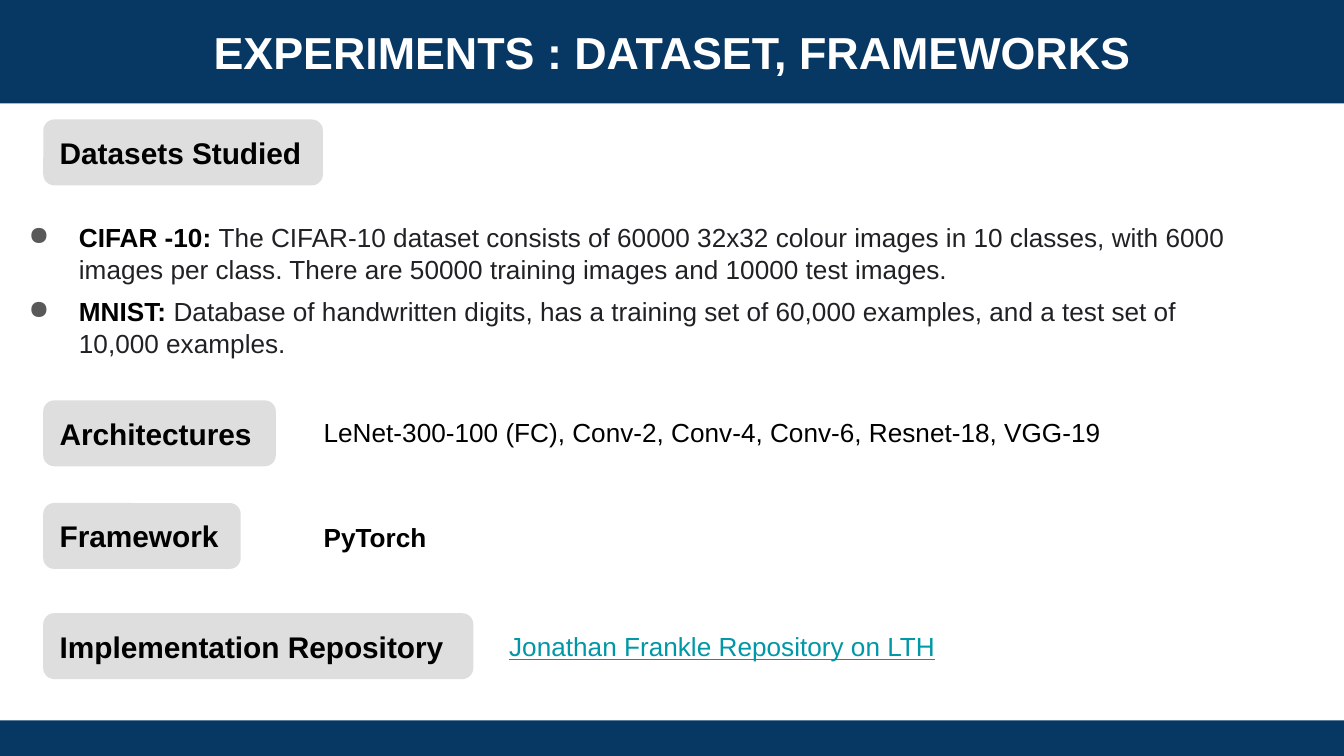
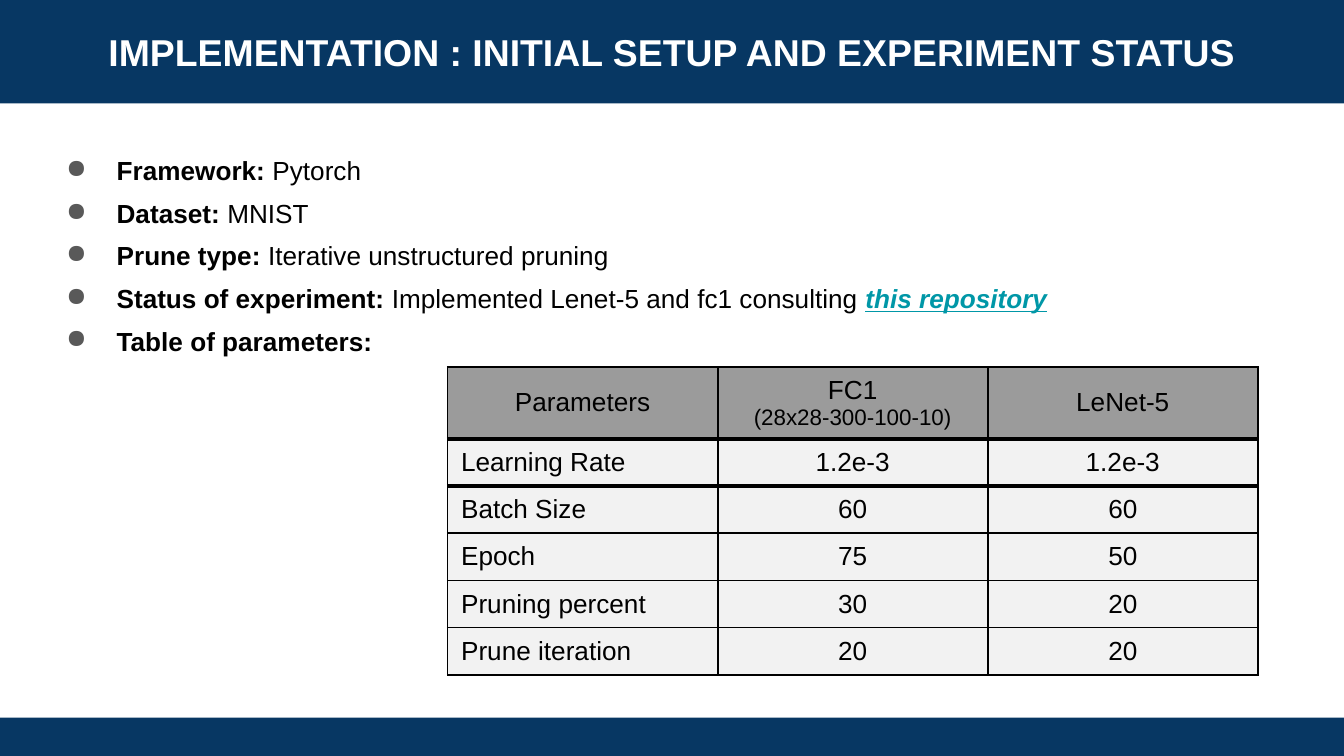
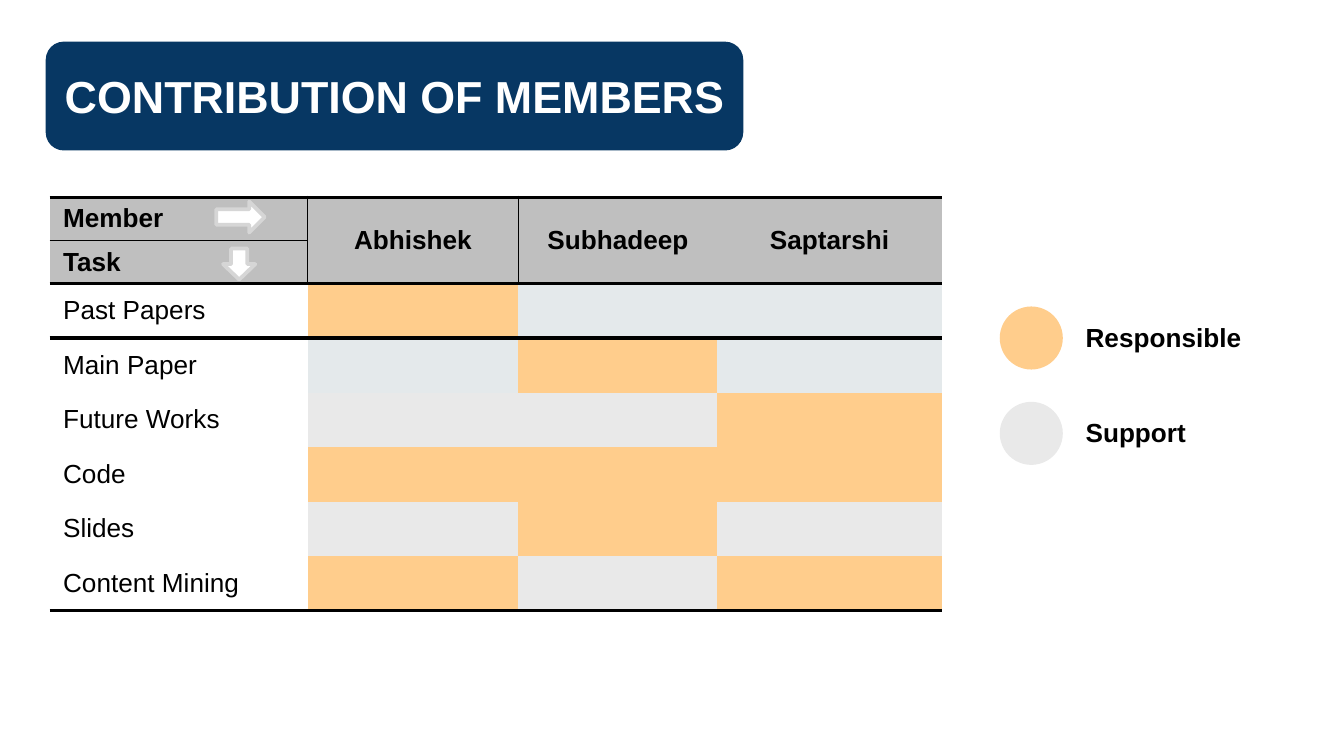
import lxml.etree
import pptx
import pptx.dml.color
import pptx.enum.shapes
import pptx.enum.text
import pptx.oxml.ns
import pptx.util

Pt = pptx.util.Pt
SHAPE = pptx.enum.shapes.MSO_SHAPE
ALIGN = pptx.enum.text.PP_ALIGN
ANCHOR = pptx.enum.text.MSO_ANCHOR
qn = pptx.oxml.ns.qn

WIDTH, HEIGHT = 720, 405
FONT = "Arial"
NO_STYLE = "{2D5ABB26-0587-4C30-8999-92F81FD0307C}"
COLORS = {
    "navy": "073763", "white": "FFFFFF", "black": "000000", "ink": "202124",
    "link": "0097A7", "bullet": "595959", "pill": "DEDEDE",
    "head": "9B9B9B", "row": "F2F2F2", "member": "BFBFBF", "edge": "D6D6D6",
    "responsible": "FFCD8C", "support": "E9E9E9", "support_blue": "E4E9EB",
}
LINK = {"color": "link", "underline": True}


def rgb(name):
    return pptx.dml.color.RGBColor.from_string(COLORS[name])


def write(frame, paragraphs, size=14, color="black", bold=False, align=ALIGN.LEFT,
          anchor=ANCHOR.TOP, before=0, after=0):
    """Fill a frame; each paragraph is a string or a list of (text, overrides)."""
    frame.word_wrap = True
    frame.vertical_anchor = anchor
    for index, runs in enumerate(paragraphs):
        para = frame.paragraphs[0] if index == 0 else frame.add_paragraph()
        para.alignment = align
        para.space_before = Pt(before if index else 0)
        para.space_after = Pt(after)
        for text, change in [(runs, {})] if isinstance(runs, str) else runs:
            look = {"size": size, "color": color, "bold": bold, **change}
            span = para.add_run()
            span.text = text
            span.font.name = FONT
            span.font.size = Pt(look["size"])
            span.font.bold = look["bold"]
            span.font.italic = look.get("italic")
            span.font.underline = look.get("underline")
            span.font.color.rgb = rgb(look["color"])


def add_shape(page, kind, box, fill, line=None):
    shape = page.shapes.add_shape(kind, *map(Pt, box))
    shape.shadow.inherit = False
    shape.fill.solid()
    shape.fill.fore_color.rgb = rgb(fill)
    if line:
        shape.line.color.rgb = rgb(line)
        shape.line.width = Pt(2)
    else:
        shape.line.fill.background()
    return shape


def add_text(page, box, paragraphs, **look):
    area = page.shapes.add_textbox(*map(Pt, box))
    write(area.text_frame, paragraphs, **look)
    return area


def add_bullets(page, box, paragraphs, indent, **look):
    area = add_text(page, box, paragraphs, **look)
    area.text_frame.margin_top = area.text_frame.margin_bottom = Pt(7.2)
    for para in area.text_frame.paragraphs:
        props = para._p.get_or_add_pPr()
        props.set("marL", str(Pt(indent)))
        props.set("indent", str(Pt(-27)))
        color = lxml.etree.SubElement(props, qn("a:buClr"))
        lxml.etree.SubElement(color, qn("a:srgbClr"), val=COLORS["bullet"])
        lxml.etree.SubElement(props, qn("a:buChar"), char="●")


def start_page(deck, title, box, size, kind=SHAPE.RECTANGLE):
    """Add a page whose title sits on a navy band."""
    page = deck.slides.add_slide(deck.slide_layouts[5])
    band = add_shape(page, kind, box, "navy")
    holder = page.shapes.title
    holder.element.addprevious(band.element)
    holder.left, holder.top, holder.width, holder.height = map(Pt, box)
    write(holder.text_frame, [title], size=size, color="white", bold=True,
          align=ALIGN.CENTER, anchor=ANCHOR.MIDDLE)
    return page


def add_footer(page, top):
    add_shape(page, SHAPE.RECTANGLE, (0, top, WIDTH, HEIGHT - top), "navy")


def add_plain_table(page, left, top, widths, heights):
    frame = page.shapes.add_table(len(heights), len(widths), Pt(left), Pt(top),
                                  Pt(sum(widths)), Pt(sum(heights)))
    table = frame.table
    table.first_row = table.horz_banding = False
    next(frame.element.iter(qn("a:tableStyleId"))).text = NO_STYLE
    for column, width in zip(table.columns, widths):
        column.width = Pt(width)
    for row, height in zip(table.rows, heights):
        row.height = Pt(height)
    return table


def format_cell(cell, fill, borders):
    """Set the fill and the borders, a dict of side (L, R, T, B) to width."""
    props = cell._tc.get_or_add_tcPr()
    for side in "LRTB":
        if side in borders:
            line = lxml.etree.SubElement(props, qn("a:ln" + side), w=str(Pt(borders[side])))
            solid = lxml.etree.SubElement(line, qn("a:solidFill"))
            lxml.etree.SubElement(solid, qn("a:srgbClr"), val=COLORS["black"])
    cell.fill.solid()
    cell.fill.fore_color.rgb = rgb(fill)


# Slide 1: labelled sections
def add_section(page, left, top, width, label):
    pill = add_shape(page, SHAPE.ROUNDED_RECTANGLE, (left, top, width, 35.3), "pill")
    write(pill.text_frame, [label], size=16, bold=True, anchor=ANCHOR.MIDDLE)


def build_experiments(deck):
    page = start_page(deck, "EXPERIMENTS : DATASET, FRAMEWORKS", (0, 0, WIDTH, 55.4), 24)
    add_footer(page, 386)
    strong, plain = {"bold": True}, {"color": "ink"}
    add_bullets(page, (7.2, 111.6, 663, 93.6), [
        [("CIFAR -10: ", strong),
         ("The CIFAR-10 dataset consists of 60000 32x32 colour images in 10 classes, "
          "with 6000 images per class. There are 50000 training images and 10000 test "
          "images.", plain)],
        [("MNIST: ", strong),
         ("Database of handwritten digits, has a training set of 60,000 examples, "
          "and a test set of 10,000 examples.", plain)],
    ], indent=28, after=6)
    for top, width, label in [(64, 149.8, "Datasets Studied"), (214.5, 124.6, "Architectures"),
                              (269.5, 105.8, "Framework"),
                              (328.5, 230.4, "Implementation Repository")]:
        add_section(page, 23.2, top, width, label)
    for box, text, look in [
        ((166.3, 219.7, 512.6, 24.5), "LeNet-300-100 (FC), Conv-2, Conv-4, Conv-6, Resnet-18, VGG-19", {}),
        ((166.3, 276, 73.4, 24.5), "PyTorch", strong),
        ((265.7, 334.2, 244.8, 24.5), "Jonathan Frankle Repository on LTH", LINK),
    ]:
        add_text(page, box, [[(text, look)]])


# Slide 2: setup list and parameter table
def add_parameters(page, left, top):
    rows = [
        ("Parameters", "FC1", "LeNet-5"),
        ("Learning Rate", "1.2e-3", "1.2e-3"),
        ("Batch Size", "60", "60"),
        ("Epoch", "75", "50"),
        ("Pruning percent", "30", "20"),
        ("Prune iteration", "20", "20"),
    ]
    table = add_plain_table(page, left, top, [144.7] * 3, [36.5] + [25.3] * 5)
    for r, values in enumerate(rows):
        for c, value in enumerate(values):
            cell = table.cell(r, c)
            format_cell(cell, "row" if r else "head", {
                "L": 1, "R": 1,
                "T": 2.25 if r in (1, 2) else 1,
                "B": 2.25 if r in (0, 1) else 1,
            })
            lines = [value]
            if value == "FC1":
                lines.append([("(28x28-300-100-10)", {"size": 12})])
            write(cell.text_frame, lines, align=ALIGN.LEFT if r and not c else ALIGN.CENTER)
            cell.vertical_anchor = ANCHOR.MIDDLE


def build_implementation(deck):
    page = start_page(deck, "IMPLEMENTATION : INITIAL SETUP AND EXPERIMENT STATUS",
                      (0, 0, WIDTH, 55.4), 20)
    add_footer(page, 384.5)
    items = [("Framework:", " Pytorch"), ("Dataset:", " MNIST"),
             ("Prune type:", " Iterative unstructured pruning"),
             ("Status of experiment:", " Implemented Lenet-5 and fc1 consulting "),
             ("Table of parameters:", "")]
    paragraphs = [[(label, {"bold": True}), (text, {})] if text else [(label, {"bold": True})]
                  for label, text in items]
    paragraphs[3].append(("this repository", {**LINK, "bold": True, "italic": True}))
    add_bullets(page, (19.4, 75.6, 671, 128.9), paragraphs, indent=36, before=6)
    add_parameters(page, 239.8, 196.6)


# Slide 3: who did what
def add_contributions(page, left, top):
    tasks = [
        ("Past Papers", "RBB"), ("Main Paper", "BRB"), ("Future Works", "SSR"),
        ("Code", "RRR"), ("Slides", "SRS"), ("Content Mining", "RSR"),
    ]
    fills = {"R": "responsible", "S": "support", "B": "support_blue"}
    table = add_plain_table(page, left, top, [138.2, 113, 106.6, 120.2],
                            [23.1] * 2 + [29.2] * len(tasks))
    # Header: two stacked labels, then one merged cell per member
    for r, (label, borders) in enumerate([("Member", {"R": 1, "T": 2.25, "B": 1}),
                                          ("Task", {"R": 1, "T": 1, "B": 2.25})]):
        format_cell(table.cell(r, 0), "member", borders)
        write(table.cell(r, 0).text_frame, [label], bold=True)
    for c, name in enumerate(("Abhishek", "Subhadeep", "Saptarshi"), 1):
        cell = table.cell(0, c)
        cell.merge(table.cell(1, c))
        side = {"L": 1} if c == 1 else {}
        format_cell(cell, "member", {**side, "T": 2.25, "B": 2.25})
        format_cell(table.cell(1, c), "member", {**side, "B": 2.25})
        write(cell.text_frame, [name], bold=True, align=ALIGN.CENTER)
        cell.vertical_anchor = ANCHOR.MIDDLE
    # Task rows
    for r, (task, roles) in enumerate(tasks, 2):
        borders = {"T": 2.25} if r == 2 else {"B": 2.25} if r == len(tasks) + 1 else {}
        for c, fill in enumerate(["white"] + [fills[role] for role in roles]):
            format_cell(table.cell(r, c), fill, borders)
        write(table.cell(r, 0).text_frame, [task])
        table.cell(r, 0).vertical_anchor = ANCHOR.MIDDLE
    # Header arrows
    add_shape(page, SHAPE.DOWN_ARROW, (left + 92.9, top + 27.4, 17.3, 16.6), "white", "edge")
    add_shape(page, SHAPE.RIGHT_ARROW, (left + 89.3, top + 2.2, 25.9, 16.6), "white", "edge")


def add_legend(page, left, top):
    for index, (label, fill) in enumerate([("Responsible", "responsible"), ("Support", "support")]):
        y = top + index * 51.1
        add_shape(page, SHAPE.OVAL, (left, y, 33.8, 33.8), fill)
        add_text(page, (left + 38.9, y + 4.3, 99.4, 24.5), [label], bold=True)


def build_contribution(deck):
    page = start_page(deck, "CONTRIBUTION OF MEMBERS", (24.5, 22.3, 373.7, 58.3), 24,
                      SHAPE.ROUNDED_RECTANGLE)
    add_contributions(page, 26.6, 105.8)
    add_legend(page, 535.6, 164.2)


def main():
    deck = pptx.Presentation()
    deck.slide_width, deck.slide_height = Pt(WIDTH), Pt(HEIGHT)
    build_experiments(deck)
    build_implementation(deck)
    build_contribution(deck)
    deck.save("out.pptx")


if __name__ == "__main__":
    main()
